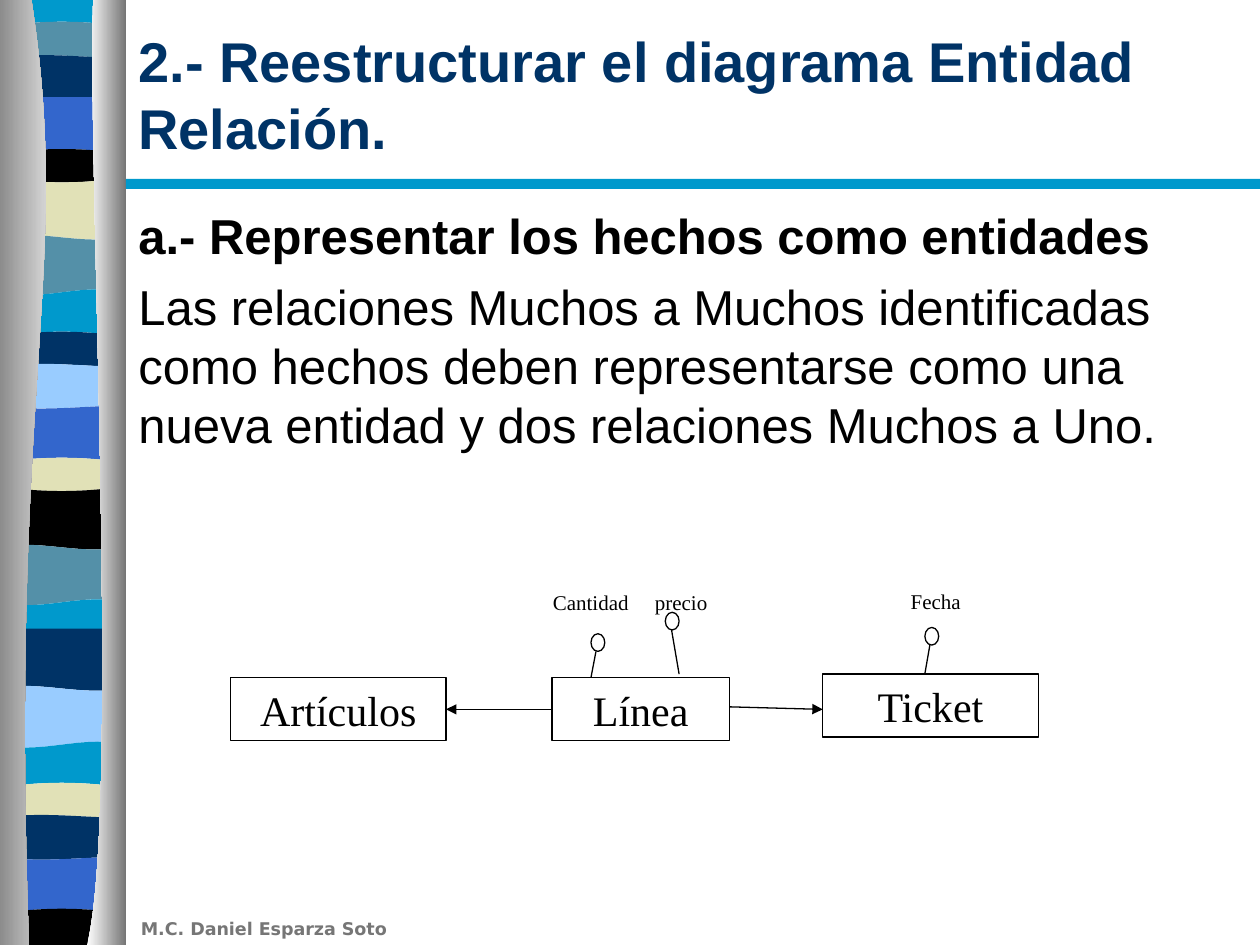
"""Slide on restructuring an entity-relationship diagram, with a striped side ribbon."""
from dataclasses import dataclass

from lxml import etree
from pptx import Presentation
from pptx.dml.color import RGBColor
from pptx.enum.shapes import MSO_CONNECTOR, MSO_SHAPE
from pptx.enum.text import MSO_ANCHOR, PP_ALIGN
from pptx.oxml.ns import qn
from pptx.util import Inches, Pt

RECTANGLE, OVAL = MSO_SHAPE.RECTANGLE, MSO_SHAPE.OVAL
STRAIGHT = MSO_CONNECTOR.STRAIGHT
LEFT, CENTER = PP_ALIGN.LEFT, PP_ALIGN.CENTER
TOP, MIDDLE = MSO_ANCHOR.TOP, MSO_ANCHOR.MIDDLE


@dataclass(frozen=True)
class Theme:
    sans: str = "Arial"
    serif: str = "Times New Roman"
    footer_font: str = "DejaVu Sans"
    title_size: int = 32
    body_size: int = 28
    entity_size: int = 24
    label_size: int = 12
    footer_size: int = 10
    line_width: float = 0.75
    cyan: str = "0099CC"
    teal: str = "5490A8"
    navy: str = "003366"
    blue: str = "3366CC"
    sky: str = "99CCFF"
    sand: str = "E1E1B7"
    black: str = "000000"
    white: str = "FFFFFF"
    gray: str = "767676"
    light_gray: str = "8C8C8C"


THEME = Theme()
WIDTH, HEIGHT = 10, 7.5
RIBBON_WIDTH = 0.98
MARGIN, TEXT_WIDTH = 1, 8.78

TITLE = "2.- Reestructurar el diagrama Entidad Relación."
BODY = [
    ("a.- Representar los hechos como entidades", True),
    ("Las relaciones Muchos a Muchos identificadas como hechos deben "
     "representarse como una nueva entidad y dos relaciones Muchos a Uno.", False),
]
FOOTER = "M.C. Daniel Esparza Soto"

ENTITIES = [
    ("Artículos", 1.83, 5.38, 1.71),
    ("Línea", 4.38, 5.38, 1.41),
    ("Ticket", 6.53, 5.35, 1.71),
]
ENTITY_HEIGHT = 0.5
RELATIONS = [((4.38, 5.63), (3.54, 5.63)), ((5.79, 5.61), (6.53, 5.63))]
ATTRIBUTES = [
    ("Cantidad", (4.29, 4.63), (4.69, 5.03), (4.73, 5.17), (4.69, 5.38)),
    ("precio", (5.1, 4.63), (5.28, 4.86), (5.33, 5), (5.39, 5.35)),
    ("Fecha", (7.13, 4.62), (7.34, 4.98), (7.38, 5.12), (7.34, 5.35)),
]
KNOB = (0.11, 0.14)

WAVES = {
    "flat": (0, 0, 0, 0),
    "crest": (0, -0.05, -0.05, 0),
    "dip": (0, 0.05, 0.05, 0),
    "rise": (0, -0.06, 0.07, 0),
    "fall": (0, 0.08, -0.08, 0),
    "lift": (0, -0.05, 0, 0),
    "sag": (0, 0.05, 0, 0),
}
BANDS = [
    ("cyan", 0, "flat"), ("teal", 0.21, "crest"), ("navy", 0.46, "lift"),
    ("blue", 0.77, "flat"), ("black", 1.22, "crest"), ("sand", 1.41, "dip"),
    ("teal", 1.88, "rise"), ("cyan", 2.32, "fall"), ("navy", 2.67, "crest"),
    ("sky", 2.91, "lift"), ("blue", 3.22, "sag"), ("sand", 3.67, "crest"),
    ("black", 3.86, "dip"), ("teal", 4.34, "rise"), ("cyan", 4.78, "fall"),
    ("navy", 4.99, "flat"), ("sky", 5.46, "rise"), ("cyan", 5.91, "fall"),
    ("sand", 6.25, "crest"), ("navy", 6.49, "lift"), ("blue", 6.8, "sag"),
    ("black", 7.25, "crest"),
]
PANELS = [
    (0, [(0.25, 0), (0.58, 2.16), (0.07, 2.96), (0.23, HEIGHT)],
     THEME.light_gray, THEME.white),
    (1, [(0.74, 0), (0.69, 1.25), (0.96, 6.46), (0.69, HEIGHT)],
     THEME.white, THEME.gray),
]


def color(code):
    return RGBColor.from_string(code)


def add_outline(page, points, curve_starts):
    points = [(Inches(x), Inches(y)) for x, y in points]
    builder = page.shapes.build_freeform(*points[0], scale=1.0)
    builder.add_line_segments(points[1:], close=True)
    shape = builder.convert_to_shape()
    segments = list(shape._element.iter(qn("a:lnTo")))
    for start in curve_starts:
        first, second, third = segments[start:start + 3]
        first.tag = qn("a:cubicBezTo")
        for segment in (second, third):
            first.append(segment[0])
            segment.getparent().remove(segment)
    shape.shadow.inherit = False
    shape.line.fill.background()
    return shape


def band_edge(top, wave):
    return [(RIBBON_WIDTH * i / 3, top + shift) for i, shift in enumerate(WAVES[wave])]


def add_ribbon(page):
    edges = [band_edge(top, wave) for _, top, wave in BANDS] + [band_edge(HEIGHT, "flat")]
    for (name, _, _), upper, lower in zip(BANDS, edges, edges[1:]):
        band = add_outline(page, upper + lower[::-1], (0, 4))
        band.fill.solid()
        band.fill.fore_color.rgb = color(getattr(THEME, name))
    for side, curve, start, end in PANELS:
        panel = add_outline(page, curve + [(side, HEIGHT), (side, 0)], (0,))
        panel.fill.gradient()
        panel.fill.gradient_angle = 0
        for stop, code in zip(panel.fill.gradient_stops, (start, end)):
            stop.color.rgb = color(code)


def write(box, items, font, size, code, align=LEFT, anchor=TOP, before=0):
    frame = box.text_frame
    frame.word_wrap = True
    frame.vertical_anchor = anchor
    for index, (text, bold) in enumerate(items):
        para = frame.paragraphs[0] if index == 0 else frame.add_paragraph()
        para.text, para.alignment, para.space_before = text, align, Pt(before)
        para.font.name, para.font.size, para.font.bold = font, Pt(size), bold
        para.font.color.rgb = color(code)


def add_text(page, frame, *args, **options):
    box = page.shapes.add_textbox(*map(Inches, frame))
    write(box, *args, **options)


def add_shape(page, kind, frame, fill=None, line=None):
    shape = page.shapes.add_shape(kind, *map(Inches, frame))
    shape.shadow.inherit = False
    if fill:
        shape.fill.solid()
        shape.fill.fore_color.rgb = color(fill)
    else:
        shape.fill.background()
    if line:
        shape.line.color.rgb = color(line)
        shape.line.width = Pt(THEME.line_width)
    else:
        shape.line.fill.background()
    return shape


def add_line(page, start, end, arrow=False):
    line = page.shapes.add_connector(STRAIGHT, *map(Inches, start + end))
    line.line.color.rgb = color(THEME.black)
    line.line.width = Pt(THEME.line_width)
    properties = line._element.spPr
    if arrow:
        etree.SubElement(properties.find(qn("a:ln")), qn("a:tailEnd"), type="triangle")
    etree.SubElement(properties, qn("a:effectLst"))


def add_diagram(page):
    for name, left, top, width in ENTITIES:
        box = add_shape(page, RECTANGLE, (left, top, width, ENTITY_HEIGHT), line=THEME.black)
        write(box, [(name, False)], THEME.serif, THEME.entity_size, THEME.black, CENTER, MIDDLE)
    for start, end in RELATIONS:
        add_line(page, start, end, arrow=True)
    for name, label, knob, start, end in ATTRIBUTES:
        add_line(page, start, end)
        add_shape(page, OVAL, knob + KNOB, THEME.white, THEME.black)
        add_text(page, label + (0.9, 0.3), [(name, False)],
                 THEME.serif, THEME.label_size, THEME.black)


def main():
    deck = Presentation()
    deck.slide_width, deck.slide_height = Inches(WIDTH), Inches(HEIGHT)
    page = deck.slides.add_slide(deck.slide_layouts[6])
    add_ribbon(page)
    add_shape(page, RECTANGLE, (MARGIN, 1.42, WIDTH - MARGIN, 0.08), THEME.cyan)
    add_text(page, (1.02, 7.24, 2.83, 0.26), [(FOOTER, True)],
             THEME.footer_font, THEME.footer_size, THEME.gray)
    add_text(page, (MARGIN, 0.12, TEXT_WIDTH, 1.25), [(TITLE, True)],
             THEME.sans, THEME.title_size, THEME.navy, anchor=MIDDLE)
    add_text(page, (MARGIN, 1.58, TEXT_WIDTH, 5.75), BODY,
             THEME.sans, THEME.body_size, THEME.black, before=7)
    add_diagram(page)
    deck.save("out.pptx")


if __name__ == "__main__":
    main()
